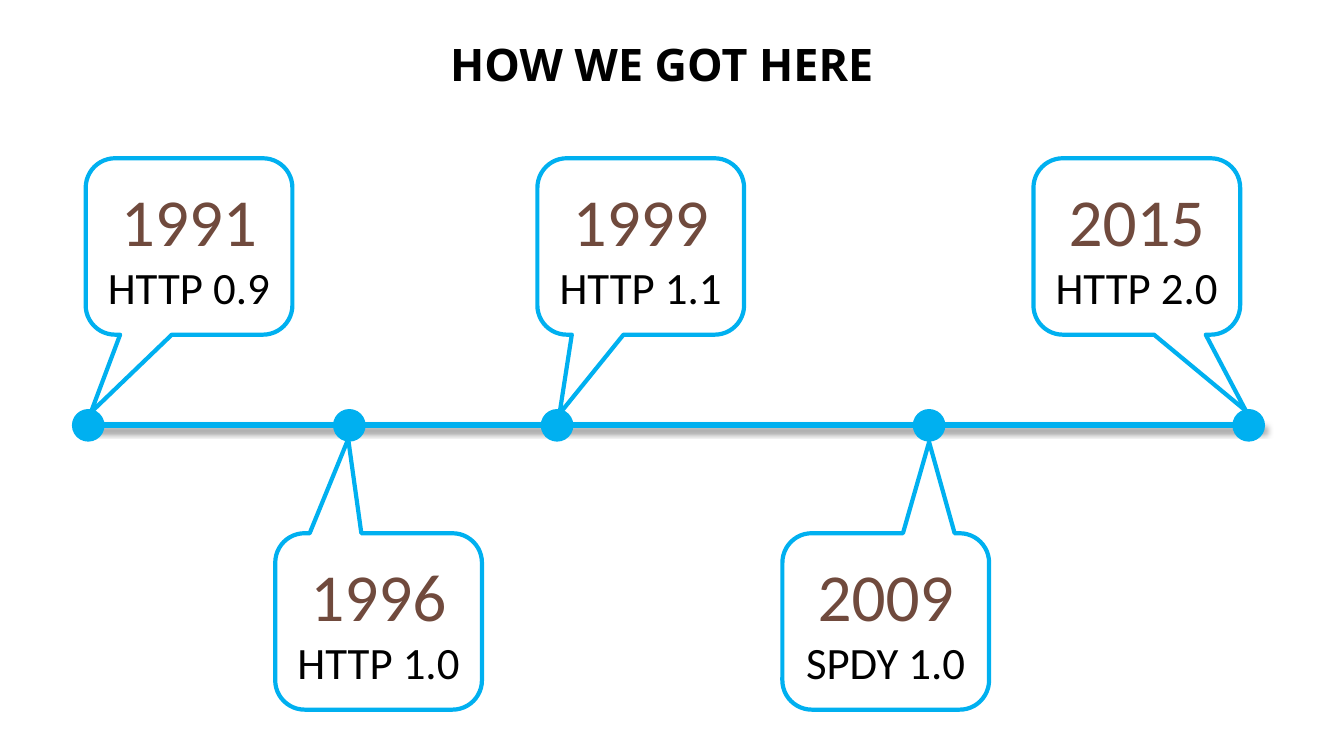
from lxml import etree
from pptx import Presentation
from pptx.dml.color import RGBColor
from pptx.enum.shapes import MSO_CONNECTOR, MSO_SHAPE
from pptx.enum.text import MSO_ANCHOR, MSO_AUTO_SIZE, PP_ALIGN
from pptx.util import Inches, Pt

STRAIGHT = MSO_CONNECTOR.STRAIGHT
OVAL, CALLOUT = MSO_SHAPE.OVAL, MSO_SHAPE.ROUNDED_RECTANGULAR_CALLOUT
TOP, MIDDLE = MSO_ANCHOR.TOP, MSO_ANCHOR.MIDDLE
CENTER, GROW = PP_ALIGN.CENTER, MSO_AUTO_SIZE.SHAPE_TO_FIT_TEXT

TITLE = "HOW WE GOT HERE"
# year, protocol, dot left, box left, box above the line?, pointer tip (x, y)
EVENTS = [
    ("1991", "HTTP 0.9", 0.72, 0.85, True, (-0.475, 0.941)),
    ("1996", "HTTP 1.0", 3.31, 2.73, False, (-0.147, -1.034)),
    ("1999", "HTTP 1.1", 5.37, 5.33, True, (-0.393, 0.949)),
    ("2009", "SPDY 1.0", 9.06, 7.76, False, (0.21, -1.017)),
    ("2015", "HTTP 2.0", 12.23, 10.25, True, (0.528, 0.932)),
]
COLORS = {"blue": "00B0F0", "white": "FFFFFF", "brown": "704A3D", "black": "000000"}
FONTS = {
    "title": {"name": "Open Sans", "size": Pt(32), "bold": True},
    "year": {"name": "Calibri", "size": Pt(48)},
    "label": {"name": "Calibri", "size": Pt(32)},
}
AXIS_Y, AXIS_LEFT, AXIS_RIGHT = 4.22, 0.88, 12.54
DOT = 0.31
BOX_W, BOX_H = 2.05, 1.75
ABOVE_Y, BELOW_Y = 1.57, 5.29
A_NS = "http://schemas.openxmlformats.org/drawingml/2006/main"
SHADOW = f"""<a:effectLst xmlns:a="{A_NS}">
<a:outerShdw blurRad="{Pt(4)}" dist="{Pt(3)}" dir="5400000" rotWithShape="0">
<a:srgbClr val="{COLORS['black']}"><a:alpha val="40000"/></a:srgbClr>
</a:outerShdw></a:effectLst>"""


def rgb(name):
    return RGBColor.from_string(COLORS[name])


def write(para, text, style, color):
    para.alignment = CENTER
    run = para.add_run()
    run.text = text
    for key, value in FONTS[style].items():
        setattr(run.font, key, value)
    run.font.color.rgb = rgb(color)


def add_shape(slide, kind, box, fill, width):
    shape = slide.shapes.add_shape(kind, *map(Inches, box))
    shape.shadow.inherit = False
    shape.fill.solid()
    shape.fill.fore_color.rgb = rgb(fill)
    shape.line.color.rgb = rgb("blue")
    shape.line.width = Pt(width)
    return shape


def add_title(slide):
    title = slide.shapes.title
    place = {"left": 2.78, "top": 0.31, "width": 7.57, "height": 0.64}
    for key, value in place.items():
        setattr(title, key, Inches(value))
    frame = title.text_frame
    frame.auto_size = GROW
    frame.vertical_anchor = TOP
    write(frame.paragraphs[0], TITLE, "title", "black")


def add_axis(slide):
    ends = (AXIS_LEFT, AXIS_Y, AXIS_RIGHT, AXIS_Y)
    axis = slide.shapes.add_connector(STRAIGHT, *map(Inches, ends))
    axis.line.color.rgb = rgb("blue")
    axis.line.width = Pt(4.5)
    axis.element.spPr.append(etree.fromstring(SHADOW))


def add_event(slide, year, label, left, above, tip):
    top = ABOVE_Y if above else BELOW_Y
    box = add_shape(slide, CALLOUT, (left, top, BOX_W, BOX_H), "white", 3)
    box.adjustments[0], box.adjustments[1] = tip
    frame = box.text_frame
    frame.word_wrap = True
    frame.vertical_anchor = MIDDLE
    write(frame.paragraphs[0], year, "year", "brown")
    write(frame.add_paragraph(), label, "label", "black")


def main():
    deck = Presentation()
    deck.slide_width, deck.slide_height = Inches(13.33), Inches(7.5)
    slide = deck.slides.add_slide(deck.slide_layouts[5])
    add_title(slide)
    add_axis(slide)
    for _, _, dot_x, *_ in EVENTS:
        add_shape(slide, OVAL, (dot_x, AXIS_Y - DOT / 2, DOT, DOT), "blue", 1)
    for year, label, _, left, above, tip in EVENTS:
        add_event(slide, year, label, left, above, tip)
    deck.save("out.pptx")


if __name__ == "__main__":
    main()
